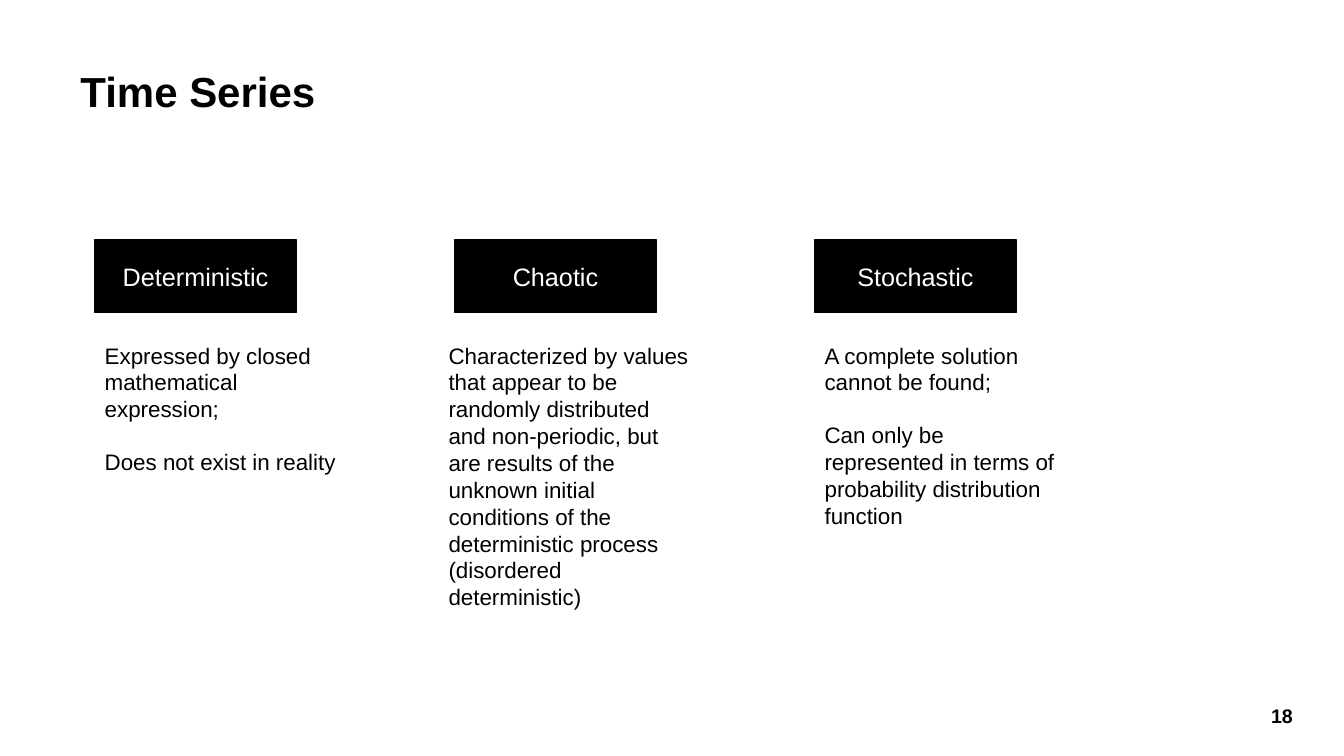
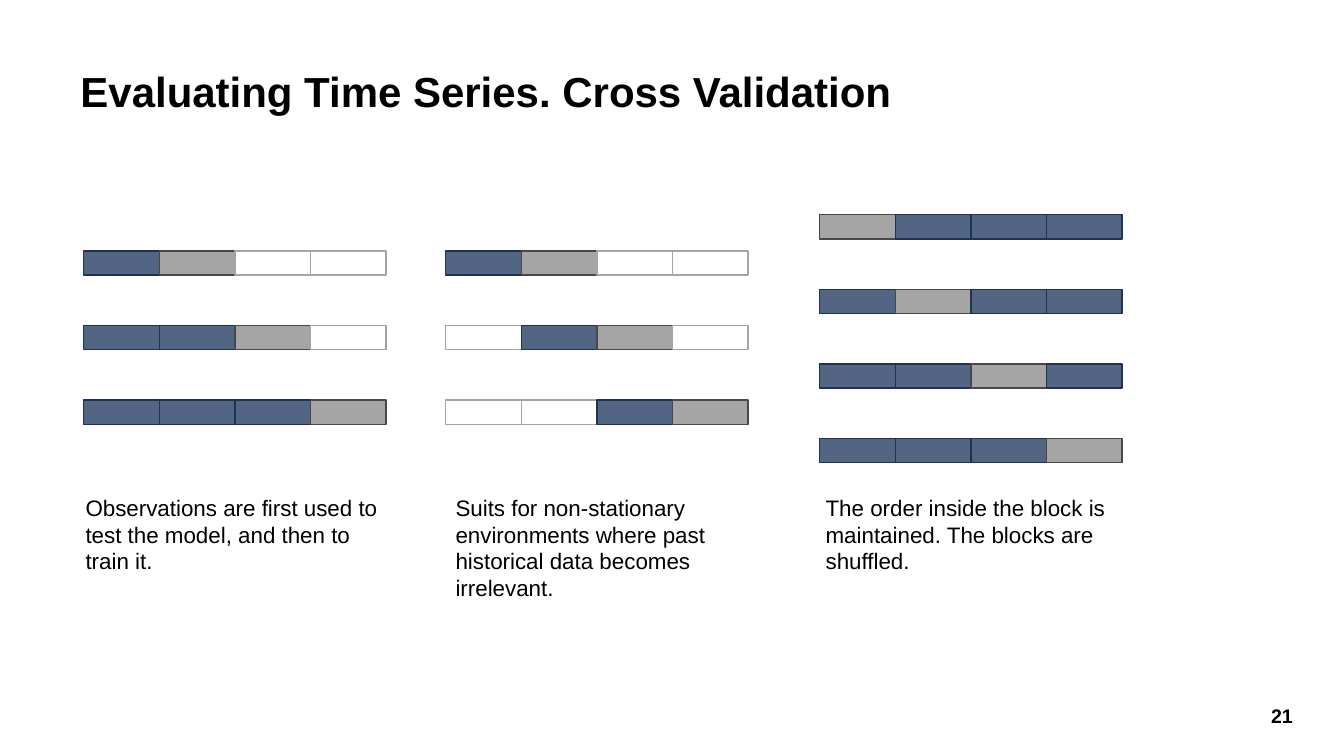
from pptx import Presentation
from pptx.dml.color import RGBColor
from pptx.enum.shapes import MSO_SHAPE
from pptx.enum.text import MSO_ANCHOR, PP_ALIGN
from pptx.util import Inches, Pt

FONT = "Arial"
COLORS = {
    "black": "000000",
    "white": "FFFFFF",
    "blue": "526582",
    "navy": "1E3256",
    "gray": "A5A5A5",
    "charcoal": "484848",
}

SERIES_PAGE = ("Time Series", "18")
# kind, left of description, gap between paragraphs in points, paragraphs
SERIES_KINDS = [
    ("Deterministic", 0.94, 18.4, [
        "Expressed by closed mathematical expression;",
        "Does not exist in reality",
    ]),
    ("Chaotic", 4.35, 0, [
        "Characterized by values that appear to be randomly distributed and "
        "non-periodic, but are results of the unknown initial conditions of "
        "the deterministic process",
        "(disordered deterministic)",
    ]),
    ("Stochastic", 8.08, 18.4, [
        "A complete solution cannot be found;",
        "Can only be represented in terms of probability distribution function",
    ]),
]
KIND_LEFT, KIND_PITCH = 0.94, 3.57

VALIDATION_PAGE = ("Evaluating Time Series. Cross Validation", "21")
# B: blue block, G: gray block, W: white block -> fill, outline
BLOCK_STYLES = {
    "B": ("blue", "navy"),
    "G": ("gray", "charcoal"),
    "W": ("white", "gray"),
}
# left and top of the blocks, rows of blocks, caption left and width, caption
SCHEMES = [
    (0.83, 2.49, ["BGWW", "BBGW", "BBBG"], 0.75, 3.31,
     "Observations are first used to test the model, and then to train it."),
    (4.42, 2.49, ["BGWW", "WBGW", "WWBG"], 4.42, 3,
     "Suits for non-stationary environments where past historical data "
     "becomes irrelevant."),
    (8.13, 2.13, ["GBBB", "BGBB", "BBGB", "BBBG"], 8.09, 3.31,
     "The order inside the block is maintained. The blocks are shuffled."),
]
BLOCK_WIDTH, BLOCK_HEIGHT, ROW_PITCH = 0.75, 0.24, 0.74


def rgb(name):
    return RGBColor.from_string(COLORS[name])


def style(paragraph, size, color="black", bold=False, align=PP_ALIGN.LEFT):
    paragraph.alignment = align
    font = paragraph.font
    font.name, font.size, font.bold = FONT, Pt(size), bold
    font.color.rgb = rgb(color)


def add_text(slide, left, top, width, height, paragraphs, size=16, gap=0,
             anchor=MSO_ANCHOR.TOP, **looks):
    box = slide.shapes.add_textbox(
        Inches(left), Inches(top), Inches(width), Inches(height))
    frame = box.text_frame
    frame.word_wrap = True
    frame.vertical_anchor = anchor
    frame.text = "\n".join(paragraphs)
    for paragraph in frame.paragraphs:
        style(paragraph, size, **looks)
    for paragraph in frame.paragraphs[1:]:
        paragraph.space_before = Pt(gap)
    return frame


def add_rect(shapes, left, top, width, height, fill, outline):
    rect = shapes.add_shape(
        MSO_SHAPE.RECTANGLE,
        Inches(left), Inches(top), Inches(width), Inches(height))
    rect.shadow.inherit = False
    rect.fill.solid()
    rect.fill.fore_color.rgb = rgb(fill)
    rect.line.color.rgb = rgb(outline)
    rect.line.width = Pt(1)
    return rect


def add_page(prs, title, number):
    """Add a blank slide with the shared title and page number."""
    slide = prs.slides.add_slide(prs.slide_layouts[6])
    add_text(slide, 12.21, 6.87, 1.01, 0.4, [number], size=14, bold=True,
             align=PP_ALIGN.CENTER, anchor=MSO_ANCHOR.BOTTOM)
    heading = add_text(slide, 0.7, 0.66, 10.84, 0.56, [title], size=30, bold=True)
    heading.paragraphs[0].line_spacing = 0.9
    return slide


def build_series(prs):
    slide = add_page(prs, *SERIES_PAGE)
    for column, (kind, text_left, gap, description) in enumerate(SERIES_KINDS):
        label = add_rect(slide.shapes, KIND_LEFT + column * KIND_PITCH, 2.38,
                         2, 0.72, "black", "black")
        label.text_frame.text = kind
        label.text_frame.vertical_anchor = MSO_ANCHOR.MIDDLE
        style(label.text_frame.paragraphs[0], 18, "white", align=PP_ALIGN.CENTER)
        add_text(slide, text_left, 3.34, 2.59, 2.79, description, gap=gap)


def build_validation(prs):
    slide = add_page(prs, *VALIDATION_PAGE)
    for left, top, rows, caption_left, caption_width, caption in SCHEMES:
        blocks = slide.shapes.add_group_shape().shapes
        for row, pattern in enumerate(rows):
            for column, code in enumerate(pattern):
                add_rect(blocks, left + column * BLOCK_WIDTH,
                         top + row * ROW_PITCH, BLOCK_WIDTH, BLOCK_HEIGHT,
                         *BLOCK_STYLES[code])
        add_text(slide, caption_left, 4.85, caption_width, 1.21, [caption])


def main():
    prs = Presentation()
    prs.slide_width, prs.slide_height = Inches(13.33), Inches(7.5)
    build_series(prs)
    build_validation(prs)
    prs.save("out.pptx")


if __name__ == "__main__":
    main()
